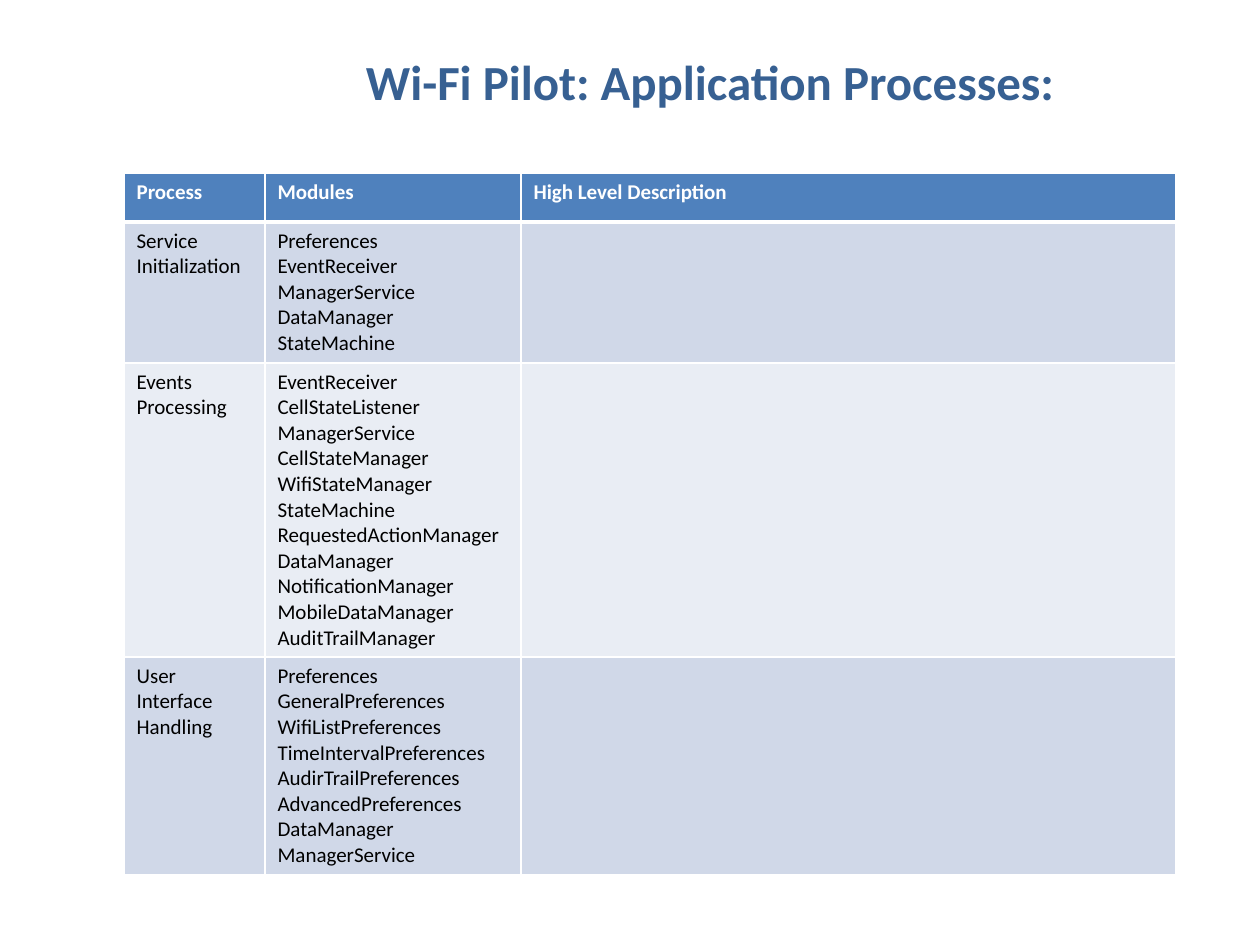
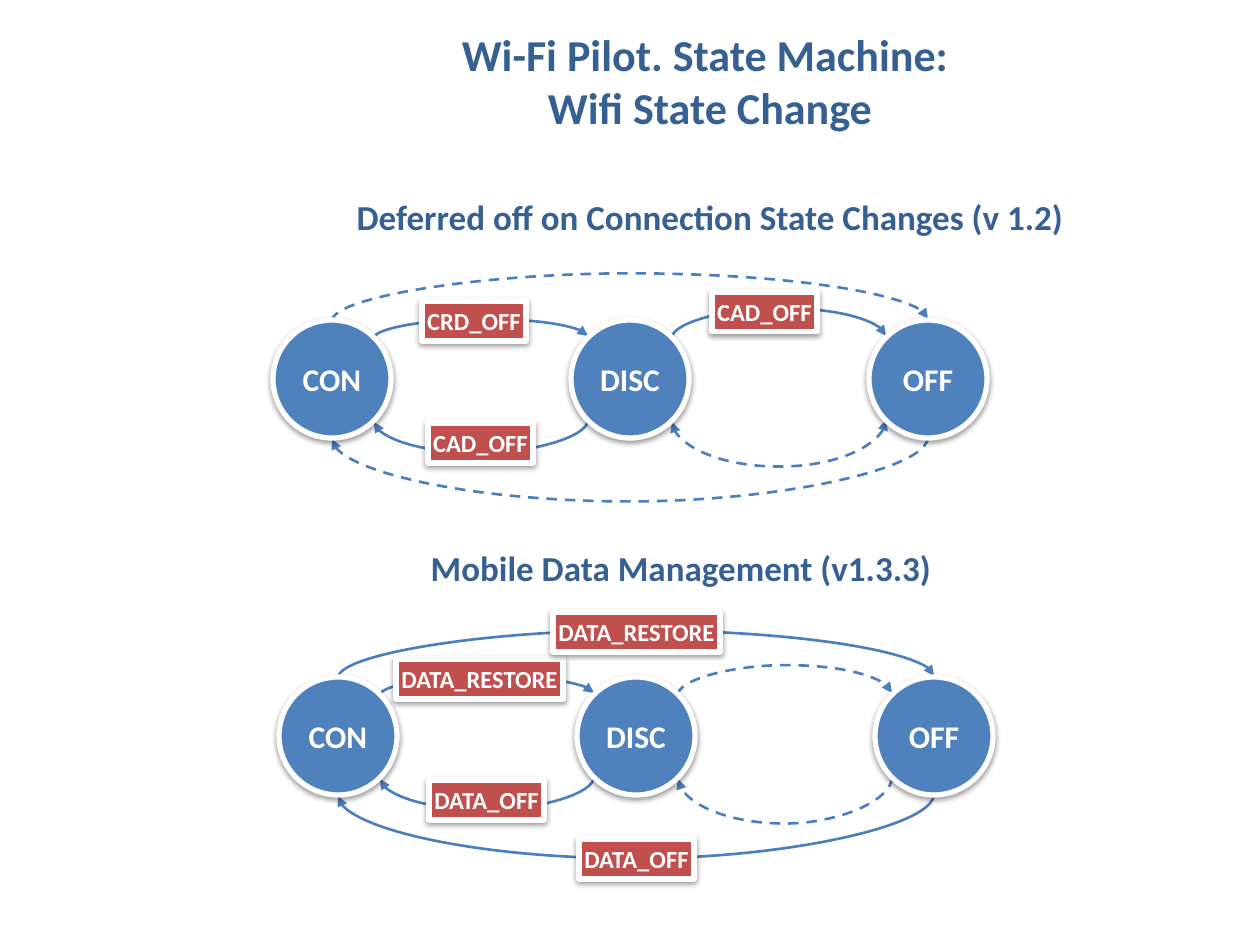
from lxml import etree
from pptx import Presentation
from pptx import oxml
from pptx import util as u
from pptx.dml.color import RGBColor
from pptx.enum import dml, shapes, text
from pptx.oxml import ns

PX = 914400 / 126
FONT = "Calibri"
COLORS = {
    "title": "376092", "state": "4F81BD", "event": "C0504D", "arc": "4B7EBC",
    "white": "FFFFFF", "black": "000000", "band": "D0D8E8", "pale": "E9EDF4",
}
RGB = {name: RGBColor.from_string(value) for name, value in COLORS.items()}
SHADOW = (
    f'<a:effectLst {ns.nsdecls("a")}>'
    '<a:outerShdw blurRad="40000" dist="20000" dir="5400000" rotWithShape="0">'
    '<a:srgbClr val="000000"><a:alpha val="38000"/></a:srgbClr>'
    '</a:outerShdw></a:effectLst>'
)


def px(*lengths):
    return [u.Emu(round(length * PX)) for length in lengths]


def write(frame, words, size, color, bold=True, align=text.PP_ALIGN.CENTER):
    """Fill a text frame and give all its paragraphs one look."""
    frame.text = words
    for para in frame.paragraphs:
        para.alignment = align
        para.font.name = FONT
        para.font.size = u.Pt(size)
        para.font.bold = bold
        para.font.color.rgb = RGB[color]


deck = Presentation()
deck.slide_width, deck.slide_height = px(1260, 945)

# Pages and their titles
pages = []
for heading, size in [
    ("Wi-Fi Pilot: Application Processes:", 28),
    ("Wi-Fi Pilot. State Machine: \vWifi State Change", 25.2),
]:
    page = deck.slides.add_slide(deck.slide_layouts[5])
    title = page.shapes.title
    title.left, title.top, title.width, title.height = px(213, 37, 994, 87)
    title.text_frame.auto_size = text.MSO_AUTO_SIZE.NONE
    title.text_frame.vertical_anchor = text.MSO_ANCHOR.MIDDLE
    write(title.text_frame, heading, size, "title")
    pages.append(page)
process_page, machine_page = pages

# Process table
processes = [
    ("Process", ["Modules"], "High Level Description"),
    ("Service Initialization",
     ["Preferences", "EventReceiver", "ManagerService", "DataManager",
      "StateMachine"], ""),
    ("Events Processing",
     ["EventReceiver", "CellStateListener", "ManagerService",
      "CellStateManager", "WifiStateManager", "StateMachine",
      "RequestedActionManager", "DataManager", "NotificationManager",
      "MobileDataManager", "AuditTrailManager"], ""),
    ("User Interface Handling",
     ["Preferences", "GeneralPreferences", "WifiListPreferences",
      "TimeIntervalPreferences", "AudirTrailPreferences",
      "AdvancedPreferences", "DataManager", "ManagerService"], ""),
]
column_widths = [141, 256, 655]
row_heights = [49, 141, 294, 217]
table = process_page.shapes.add_table(
    len(processes), len(column_widths),
    *px(124, 173, sum(column_widths), sum(row_heights))).table
for column, width in zip(table.columns, px(*column_widths)):
    column.width = width
for row, height in zip(table.rows, px(*row_heights)):
    row.height = height

for r, (process, modules, description) in enumerate(processes):
    header = r == 0
    fill = "state" if header else ("band" if r % 2 else "pale")
    for c, words in enumerate([process, "\n".join(modules), description]):
        cell = table.cell(r, c)
        write(cell.text_frame, words, 12, "white" if header else "black",
              header, text.PP_ALIGN.LEFT)
        for side in "LRTB":
            thick = (header and side == "B") or (r == 1 and side == "T")
            border = etree.SubElement(
                cell._tc.get_or_add_tcPr(), ns.qn(f"a:ln{side}"),
                w=str(u.Pt(3 if thick else 1)))
            line_fill = etree.SubElement(border, ns.qn("a:solidFill"))
            etree.SubElement(line_fill, ns.qn("a:srgbClr"), val=COLORS["white"])
        cell.fill.solid()
        cell.fill.fore_color.rgb = RGB[fill]

# State machines: arcs are (from state, to state, depth, dashed, two-headed),
# events are (name, left, top, width) relative to the machine's origin
STATES = ["CON", "DISC", "OFF"]
STATE_GAP, DIAMETER = 298, 118
RADIUS, DIAGONAL = DIAMETER // 2, 42
RISE = 2
machines = [
    ("Deferred off on Connection State Changes (v 1.2)", 213, 173, 332, 379,
     [(0, 1, 19, False, False), (2, 1, 47, True, True),
      (1, 0, 33, False, False), (0, 2, 48, True, False),
      (2, 0, 65, True, False), (1, 2, 30, False, False)],
     [("CRD_OFF", 90, -78, 104), ("CAD_OFF", 96, 44, 105),
      ("CAD_OFF", 380, -87, 105)]),
    ("Mobile Data Management (v1.3.3)", 184, 524, 338, 736,
     [(0, 1, 19, False, False), (2, 1, 47, True, False),
      (1, 0, 33, False, False), (0, 2, 48, False, False),
      (2, 0, 65, False, False), (1, 2, 30, True, False)],
     [("DATA_RESTORE", 58, -77, 167), ("DATA_OFF", 91, 44, 115),
      ("DATA_RESTORE", 215, -124, 167), ("DATA_OFF", 241, 103, 115)]),
]

for caption, caption_left, caption_top, origin_x, origin_y, arcs, events in machines:
    box = machine_page.shapes.add_textbox(*px(caption_left, caption_top, 994, 87))
    box.text_frame.word_wrap = True
    box.text_frame.vertical_anchor = text.MSO_ANCHOR.MIDDLE
    write(box.text_frame, caption, 20, "title")

    for start, end, depth, dashed, two_headed in arcs:
        forward = end > start
        neighbours = abs(end - start) == 1
        inset = DIAGONAL if neighbours else 0
        reach = DIAGONAL if neighbours else RADIUS
        span = abs(end - start) * STATE_GAP - 2 * inset
        middle_x = origin_x + (start + end) * STATE_GAP / 2
        middle_y = origin_y + (-reach if forward else reach)
        left, right = middle_x - RISE / 2, middle_x + RISE / 2
        top, bottom = middle_y - span / 2, middle_y + span / 2
        # Forward arcs bulge upwards, backward arcs downwards
        ends = (right, bottom, left, top) if forward else (left, top, right, bottom)
        arc = machine_page.shapes.add_connector(
            shapes.MSO_CONNECTOR.CURVE, *px(*ends))
        properties = arc._element.spPr
        properties.find(ns.qn("a:xfrm")).set("rot", "5400000")
        guides = properties.find(ns.qn("a:prstGeom")).get_or_add_avLst()
        etree.SubElement(guides, ns.qn("a:gd"), name="adj1",
                         fmla=f"val {depth * 100000 // RISE}")
        arc.line.color.rgb = RGB["arc"]
        arc.line.width = u.Pt(1.5)
        if dashed:
            arc.line.dash_style = dml.MSO_LINE.DASH
        for tip in ["headEnd", "tailEnd"] if two_headed else ["tailEnd"]:
            etree.SubElement(arc.line._get_or_add_ln(), ns.qn(f"a:{tip}"),
                             type="triangle")
        etree.SubElement(properties, ns.qn("a:effectLst"))

    nodes = [(shapes.MSO_SHAPE.OVAL, name, "state", 18, 0,
              i * STATE_GAP - RADIUS, -RADIUS, DIAMETER, DIAMETER)
             for i, name in enumerate(STATES)]
    nodes += [(shapes.MSO_SHAPE.RECTANGLE, name, "event", 14, 5,
               left, top, width, 40)
              for name, left, top, width in events]
    for kind, name, color, size, margin, left, top, width, height in nodes:
        node = machine_page.shapes.add_shape(
            kind, *px(origin_x + left, origin_y + top, width, height))
        node.fill.solid()
        node.fill.fore_color.rgb = RGB[color]
        node.line.color.rgb = RGB["white"]
        node.line.width = u.Pt(3)
        node._element.spPr.append(oxml.parse_xml(SHADOW))
        frame = node.text_frame
        frame.margin_left, frame.margin_top = px(margin, margin)
        frame.margin_right, frame.margin_bottom = px(margin, margin)
        frame.vertical_anchor = text.MSO_ANCHOR.MIDDLE
        frame.word_wrap = False
        write(frame, name, size, "white")

deck.save("out.pptx")
